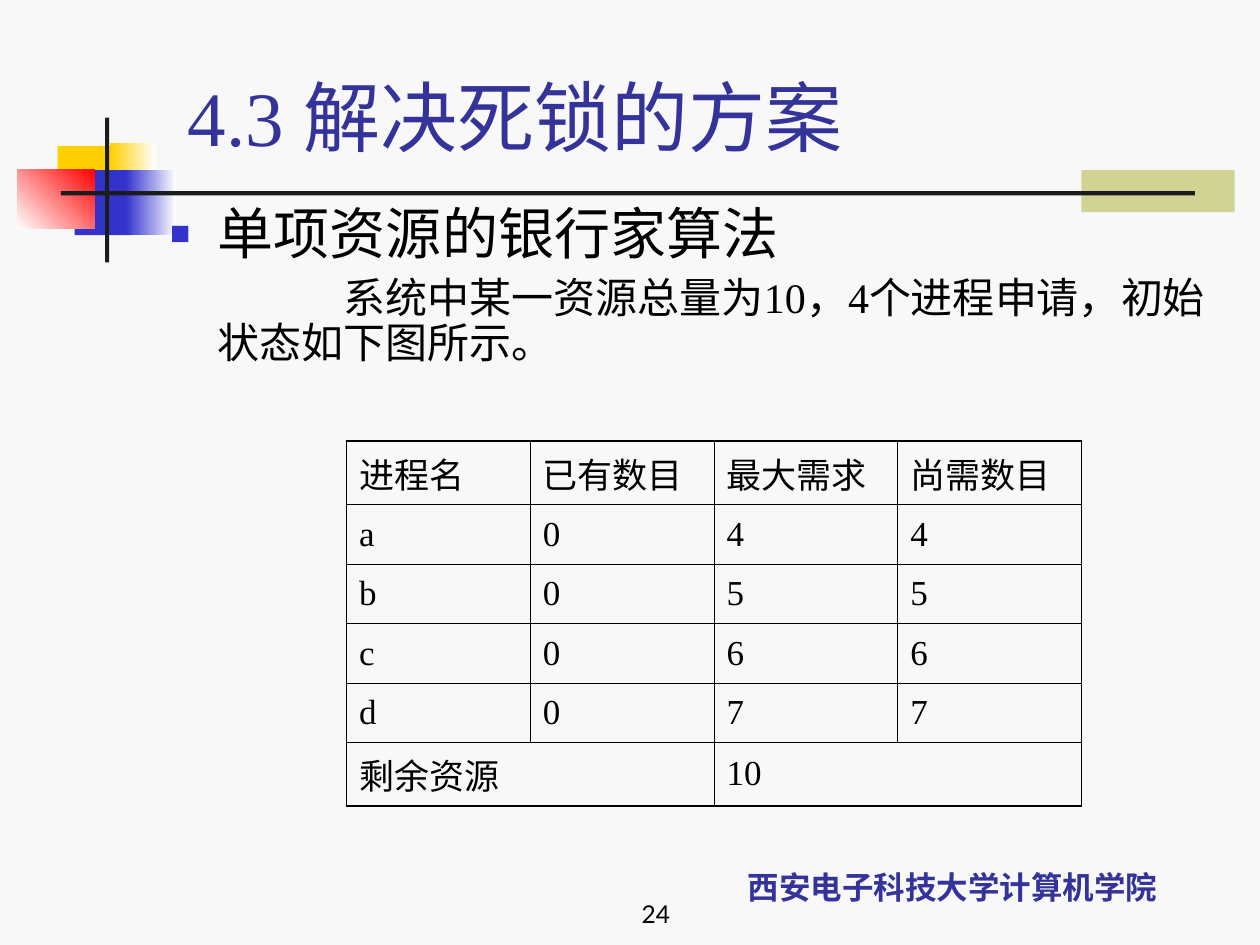
from lxml import etree
from pptx import Presentation
from pptx.dml.color import RGBColor
from pptx.enum.shapes import MSO_SHAPE
from pptx.enum.text import MSO_ANCHOR, MSO_AUTO_SIZE, PP_ALIGN
from pptx.oxml.ns import qn
from pptx.util import Inches, Pt

RECTANGLE = MSO_SHAPE.RECTANGLE
TOP, MIDDLE, BOTTOM = MSO_ANCHOR.TOP, MSO_ANCHOR.MIDDLE, MSO_ANCHOR.BOTTOM
LEFT, CENTER, RIGHT = PP_ALIGN.LEFT, PP_ALIGN.CENTER, PP_ALIGN.RIGHT
NO_FIT = MSO_AUTO_SIZE.NONE

COLORS = {
    "background": "F8F8F8", "ink": "000000", "heading": "333399",
    "rule": "1C1C1C", "olive": "D1D393", "yellow": "FFCF01",
    "blue": "3333CC", "red": "FF0000", "white": "FFFFFF",
}
SERIF, SANS, CJK = "Times New Roman", "Lato", "Noto Sans CJK SC"
COLUMNS, ROWS = 120, 90
INNER_LINE, OUTER_LINE = Pt(0.45), Pt(1.08)

DECORATIONS = [
    ((103, 16.2, 14.6, 4), ["olive"], 0),
    ((5.5, 13.9, 5.8, 6.2), ["yellow"], 0),
    ((10.5, 13.6, 4.3, 6.2), ["yellow", "white"], 0),
    ((7.1, 16.2, 5.5, 6.2), ["blue"], 0),
    ((12, 16.2, 4.8, 6.2), ["blue", "white"], 0),
    ((1.65, 16.1, 7.4, 5.7), ["white", "red"], 45),
    ((10, 11.2, 0.4, 13.8), ["rule"], 0),
    ((5.8, 18.2, 108, 0.4), ["rule"], 0),
]
PROCESSES = [
    ["进程名", "已有数目", "最大需求", "尚需数目"],
    ["a", "0", "4", "4"],
    ["b", "0", "5", "5"],
    ["c", "0", "6", "6"],
    ["d", "0", "7", "7"],
    ["剩余资源", "", "10", ""],
]


class LectureSlide:
    """Holds the slide, its grid and its style."""

    def __init__(self, deck):
        self.slide = deck.slides.add_slide(deck.slide_layouts[1])
        self.column = deck.slide_width / COLUMNS
        self.row = deck.slide_height / ROWS
        backdrop = self.slide.background.fill
        backdrop.solid()
        backdrop.fore_color.rgb = self.color("background")

    def color(self, name):
        return RGBColor.from_string(COLORS[name])

    def box(self, left, top, width, height):
        return (round(left * self.column), round(top * self.row),
                round(width * self.column), round(height * self.row))

    def style(self, paragraph, size, color="ink", face=SERIF, bold=False, align=LEFT):
        paragraph.alignment = align
        font = paragraph.font
        font.size, font.name, font.bold = Pt(size), face, bold
        font.color.rgb = self.color(color)

    def block(self, area, colors, angle):
        shape = self.slide.shapes.add_shape(RECTANGLE, *self.box(*area))
        shape.shadow.inherit = False
        shape.line.fill.background()
        if len(colors) == 1:
            shape.fill.solid()
            shape.fill.fore_color.rgb = self.color(colors[0])
            return
        shape.fill.gradient()
        shape.fill.gradient_angle = angle
        for stop, name in zip(shape.fill.gradient_stops, colors):
            stop.color.rgb = self.color(name)

    def placeholder(self, index, area, anchor, lines):
        holder = self.slide.placeholders[index]
        holder.left, holder.top, holder.width, holder.height = self.box(*area)
        holder.element.getparent().append(holder.element)
        frame = holder.text_frame
        frame.text = "\n".join(lines)
        frame.auto_size = NO_FIT
        frame.vertical_anchor = anchor
        return frame.paragraphs

    def title(self, area, text):
        heading, = self.placeholder(0, area, BOTTOM, [text])
        self.style(heading, 44, "heading")

    def body(self, area, topic, detail):
        bullet, prose = self.placeholder(1, area, TOP, [topic, detail])
        self.indent(bullet, -0.38)
        properties = bullet._p.get_or_add_pPr()
        tint = etree.SubElement(properties, qn("a:buClr"))
        etree.SubElement(tint, qn("a:srgbClr"), val=COLORS["blue"])
        etree.SubElement(properties, qn("a:buSzPct"), val="60000")
        etree.SubElement(properties, qn("a:buChar"), char="■")
        self.indent(prose, 1)
        etree.SubElement(prose._p.get_or_add_pPr(), qn("a:buNone"))
        for paragraph, size, before in ((bullet, 32, 0), (prose, 24, 6)):
            paragraph.line_spacing = 0.9
            paragraph.space_before = Pt(before)
            self.style(paragraph, size)

    def indent(self, paragraph, first_line):
        properties = paragraph._p.get_or_add_pPr()
        properties.set("marL", str(Inches(0.38)))
        properties.set("indent", str(Inches(first_line)))

    def label(self, area, text, **look):
        frame = self.slide.shapes.add_textbox(*self.box(*area)).text_frame
        frame.word_wrap = True
        frame.vertical_anchor = BOTTOM
        frame.text = text
        self.style(frame.paragraphs[0], **look)

    def table(self, area, records, merges):
        last_row, last_column = len(records) - 1, len(records[0]) - 1
        grid = self.slide.shapes.add_table(
            last_row + 1, last_column + 1, *self.box(*area)).table
        grid.first_row = grid.horz_banding = False
        for r, record in enumerate(records):
            for c, value in enumerate(record):
                cell = grid.cell(r, c)
                cell.fill.background()
                cell.vertical_anchor = MIDDLE
                cell.text = value
                self.style(cell.text_frame.paragraphs[0], 20)
                self.borders(cell, {"a:lnL": c == 0, "a:lnR": c == last_column,
                                    "a:lnT": r == 0, "a:lnB": r == last_row})
        for r, start, end in merges:
            grid.cell(r, start).merge(grid.cell(r, end))

    def borders(self, cell, sides):
        properties = cell._tc.get_or_add_tcPr()
        for position, (side, outer) in enumerate(sides.items()):
            width = OUTER_LINE if outer else INNER_LINE
            edge = etree.Element(qn(side), w=str(width))
            fill = etree.SubElement(edge, qn("a:solidFill"))
            etree.SubElement(fill, qn("a:srgbClr"), val=COLORS["ink"])
            properties.insert(position, edge)


def main():
    deck = Presentation()
    deck.slide_width, deck.slide_height = Inches(10), Inches(7.5)
    lecture = LectureSlide(deck)
    for area, colors, angle in DECORATIONS:
        lecture.block(area, colors, angle)
    lecture.label((63.7, 79.9, 54, 7), "西安电子科技大学计算机学院",
                  size=18, color="heading", face=CJK, bold=True, align=CENTER)
    lecture.title((16.7, 6, 102.2, 10), "4.3 解决死锁的方案")
    lecture.body((15, 19, 102, 21), "单项资源的银行家算法",
                 "系统中某一资源总量为10，4个进程申请，初始状态如下图所示。")
    lecture.table((33, 42, 70, 34), PROCESSES, [(5, 0, 1), (5, 2, 3)])
    lecture.label((40, 83, 25, 6), "24", size=14, face=SANS, align=RIGHT)
    deck.save("out.pptx")


if __name__ == "__main__":
    main()
